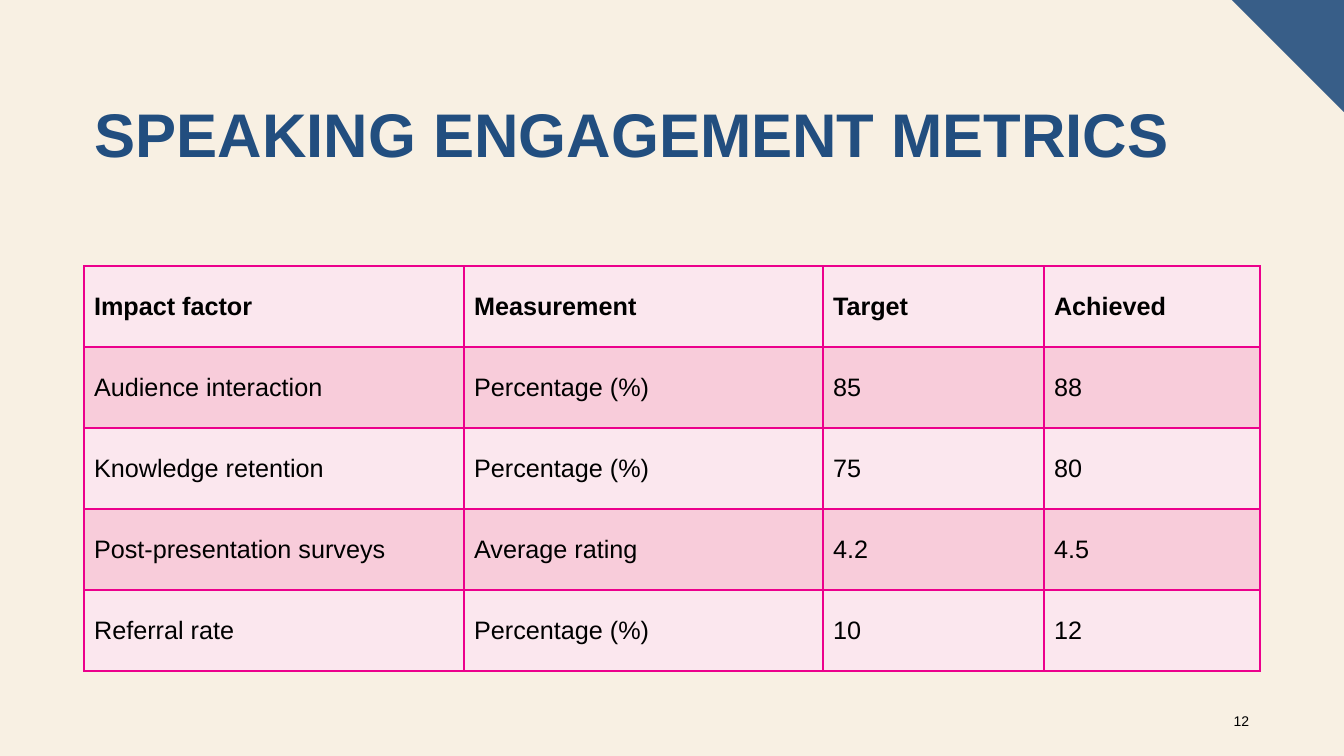
from lxml.etree import SubElement
from pptx import Presentation
from pptx.dml.color import RGBColor
from pptx.enum.text import MSO_ANCHOR as Anchor, PP_ALIGN as Align
from pptx.oxml.ns import qn
from pptx.util import Pt

EMU_PER_PX = 914400 / 100.8
WIDTH, HEIGHT = 1344, 756

CREAM = RGBColor(0xF8, 0xF0, 0xE3)
CORNER_BLUE = RGBColor(0x38, 0x5E, 0x88)
TITLE_BLUE = RGBColor(0x22, 0x4E, 0x7F)
MAGENTA = RGBColor(0xEC, 0x00, 0x8C)
PALE_PINK = RGBColor(0xFB, 0xE7, 0xEE)
PINK = RGBColor(0xF8, 0xCC, 0xDA)
BLACK = RGBColor(0x00, 0x00, 0x00)

METRICS = [
    ("Impact factor", "Measurement", "Target", "Achieved"),
    ("Audience interaction", "Percentage (%)", "85", "88"),
    ("Knowledge retention", "Percentage (%)", "75", "80"),
    ("Post-presentation surveys", "Average rating", "4.2", "4.5"),
    ("Referral rate", "Percentage (%)", "10", "12"),
]
COLUMN_WIDTHS = [380, 359, 221, 216]
ROW_HEIGHT = 81


def px(length):
    return round(length * EMU_PER_PX)


class SlideBuilder:
    font_name = "Arial"

    def __init__(self, presentation, background):
        self.slide = presentation.slides.add_slide(presentation.slide_layouts[6])
        fill = self.slide.background.fill
        fill.solid()
        fill.fore_color.rgb = background

    def fill_text(self, frame, text, size, color=BLACK, bold=False, **layout):
        paragraph = frame.paragraphs[0]
        for name, value in layout.items():
            setattr(paragraph, name, value)
        run = paragraph.add_run()
        run.text = text
        style = {"name": self.font_name, "size": Pt(size), "bold": bold}
        for name, value in style.items():
            setattr(run.font, name, value)
        run.font.color.rgb = color

    def polygon(self, points, color):
        builder = self.slide.shapes.build_freeform(*points[0], scale=EMU_PER_PX)
        builder.add_line_segments(points[1:], close=True)
        shape = builder.convert_to_shape()
        shape.shadow.inherit = False
        shape.fill.solid()
        shape.fill.fore_color.rgb = color
        shape.line.fill.background()

    def text(self, box, text, size, anchor=Anchor.TOP, **style):
        frame = self.slide.shapes.add_textbox(*map(px, box)).text_frame
        frame.word_wrap = True
        frame.vertical_anchor = anchor
        self.fill_text(frame, text, size, **style)

    def cell_borders(self, cell, color, points):
        properties = cell._tc.get_or_add_tcPr()
        for side in ("lnL", "lnR", "lnT", "lnB"):
            line = SubElement(properties, qn(f"a:{side}"), w=str(Pt(points)))
            solid = SubElement(line, qn("a:solidFill"))
            SubElement(solid, qn("a:srgbClr"), val=str(color))

    def table(self, left, top, rows, widths, row_height, size):
        box = (left, top, sum(widths), row_height * len(rows))
        table = self.slide.shapes.add_table(
            len(rows), len(widths), *map(px, box)).table
        table.first_row = table.horz_banding = False
        for column, width in zip(table.columns, widths):
            column.width = px(width)
        for index, (row, values) in enumerate(zip(table.rows, rows)):
            row.height = px(row_height)
            for cell, value in zip(row.cells, values):
                self.cell_borders(cell, MAGENTA, 1)
                cell.fill.solid()
                cell.fill.fore_color.rgb = PINK if index % 2 else PALE_PINK
                cell.vertical_anchor = Anchor.MIDDLE
                self.fill_text(cell.text_frame, value, size, bold=index == 0)


def main():
    presentation = Presentation()
    presentation.slide_width = px(WIDTH)
    presentation.slide_height = px(HEIGHT)
    builder = SlideBuilder(presentation, CREAM)

    # Corner triangle
    builder.polygon([(WIDTH - 112, 0), (WIDTH, 0), (WIDTH, 112)], CORNER_BLUE)

    # Title
    builder.text((85, 99, 1175, 146), "SPEAKING ENGAGEMENT METRICS", 44,
                 color=TITLE_BLUE, bold=True, line_spacing=0.9)

    # Metrics table
    builder.table(84, 266, METRICS, COLUMN_WIDTHS, ROW_HEIGHT, 18)

    # Slide number
    builder.text((1209, 701, 50, 40), "12", 10, anchor=Anchor.MIDDLE,
                 alignment=Align.RIGHT)

    presentation.save("out.pptx")


if __name__ == "__main__":
    main()
